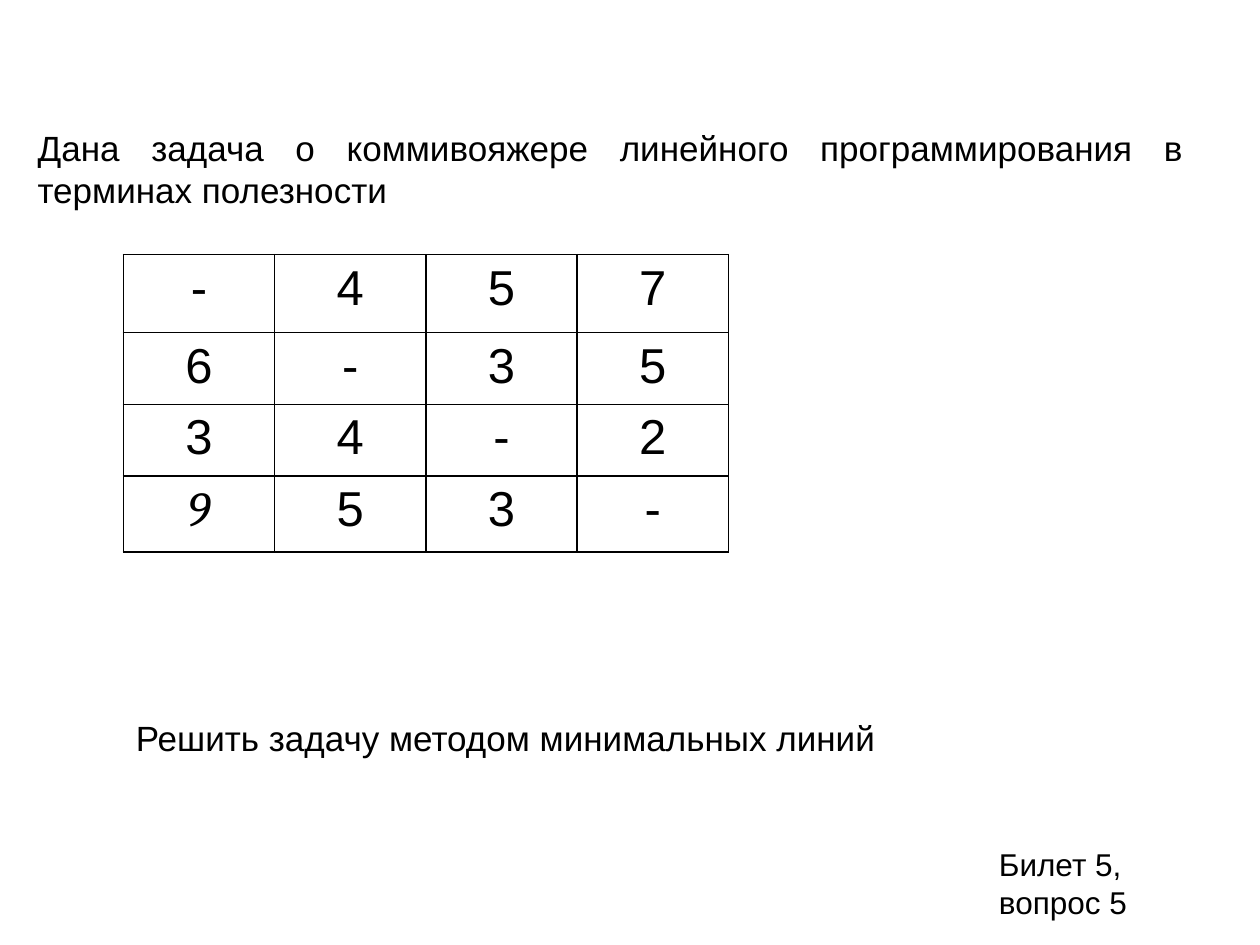
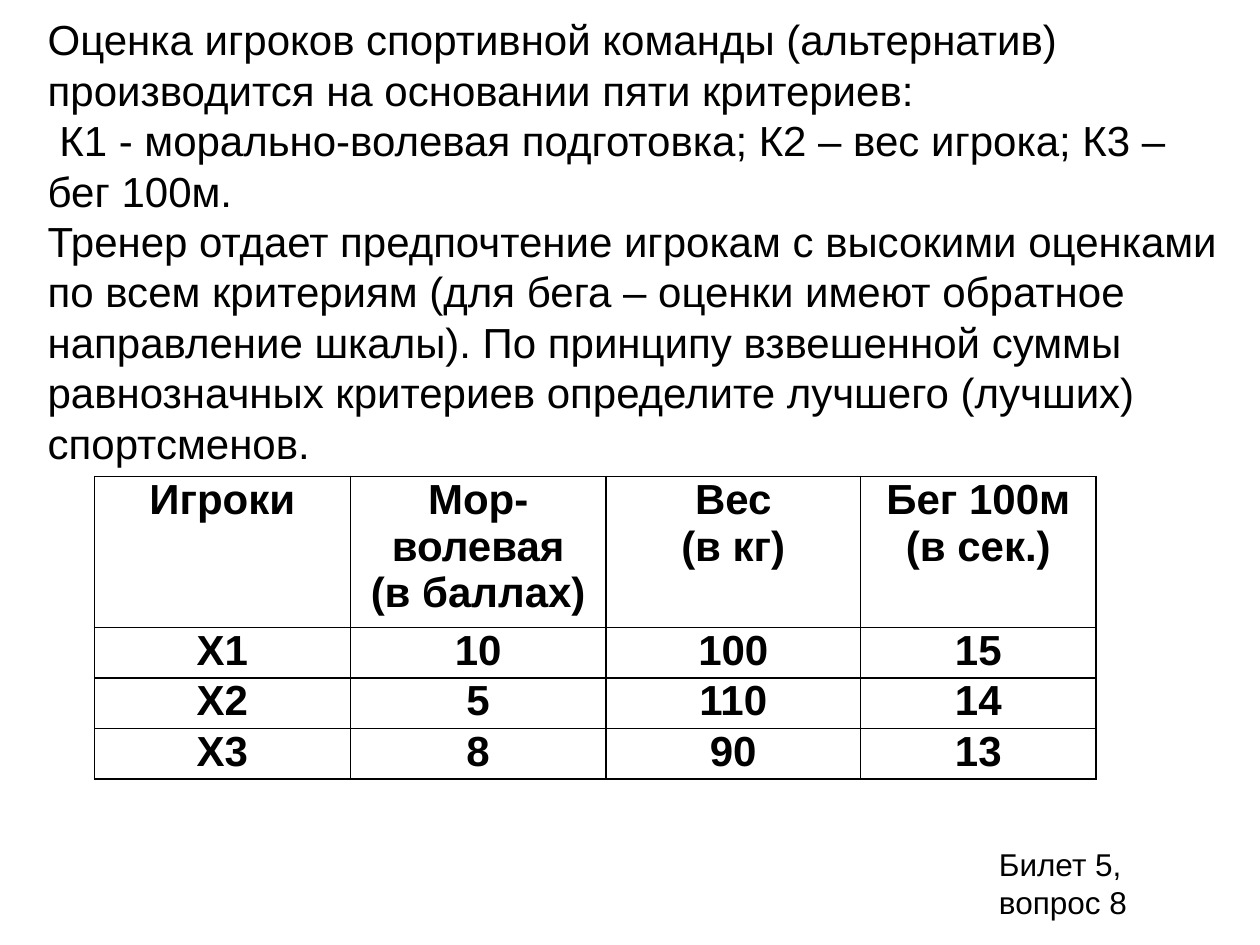
"""Build two exam task slides, each with text, a data table and a ticket label."""
from lxml import etree
from pptx import Presentation
from pptx import util as u
from pptx.dml.color import RGBColor
from pptx.enum import text
from pptx.oxml import ns

PX = 9144
INK = "000000"
FONT = "Arial"
LEFT, CENTER, JUSTIFY = text.PP_ALIGN.LEFT, text.PP_ALIGN.CENTER, text.PP_ALIGN.JUSTIFY
TOP, MIDDLE = text.MSO_ANCHOR.TOP, text.MSO_ANCHOR.MIDDLE


def style(frame, size, align, bold=False):
    """Format every paragraph of a text frame."""
    for para in frame.paragraphs:
        para.alignment = align
        para.font.name, para.font.size, para.font.bold = FONT, u.Pt(size), bold
        para.font.color.rgb = RGBColor.from_string(INK)


def border(cell):
    """Draw a thin line on all four sides of a table cell."""
    properties = cell._tc.get_or_add_tcPr()
    for side in ("lnL", "lnR", "lnT", "lnB"):
        line = etree.SubElement(properties, ns.qn(f"a:{side}"), w=str(u.Pt(1)))
        fill = etree.SubElement(line, ns.qn("a:solidFill"))
        etree.SubElement(fill, ns.qn("a:srgbClr"), val=INK)


deck = Presentation()
deck.slide_width, deck.slide_height = 1000 * PX, 750 * PX

tasks = [
    {
        "question": 5,
        "texts": [
            ("Решить задачу методом минимальных линий",
             (98, 564, 661, 44), 20, LEFT, TOP),
            ("Дана задача о коммивояжере линейного программирования в терминах полезности",
             (20, 95, 929, 77), 20, JUSTIFY, MIDDLE),
        ],
        "place": (98, 202),
        "columns": [120] * 4,
        "heights": [62, 57, 57, 60],
        "rows": ["- 4 5 7".split(), "6 - 3 5".split(), "3 4 - 2".split(), "9 5 3 -".split()],
        "size": 28,
        "bold": False,
        "margins": (10, 5),
    },
    {
        "question": 8,
        "texts": [
            ("Оценка игроков спортивной команды (альтернатив) производится на основании "
             "пяти критериев:\n"
             " К1 - морально-волевая подготовка; К2 – вес игрока; К3 – бег 100м.\n"
             "Тренер отдает предпочтение игрокам с высокими оценками по всем критериям "
             "(для бега – оценки имеют обратное направление шкалы). По принципу взвешенной "
             "суммы равнозначных критериев определите лучшего (лучших) спортсменов.",
             (28, 4, 961, 374), 24, LEFT, MIDDLE),
        ],
        "place": (75, 378),
        "columns": [203, 203, 202, 187],
        "heights": [77, 35, 35, 35],
        "rows": [
            ["Игроки", "Мор-волевая\n(в баллах)", "Вес\n(в кг)", "Бег 100м\n(в сек.)"],
            ["Х1", "10", "100", "15"],
            ["Х2", "5", "110", "14"],
            ["Х3", "8", "90", "13"],
        ],
        "size": 24,
        "bold": True,
        "margins": (7, 0),
    },
]

tables = []
for task in tasks:
    page = deck.slides.add_slide(deck.slide_layouts[6])

    ticket = (f"Билет 5, вопрос {task['question']}", (783, 666, 150, 71), 18, LEFT, TOP)
    for words, area, size, align, anchor in task["texts"] + [ticket]:
        box = page.shapes.add_textbox(*(length * PX for length in area))
        frame = box.text_frame
        frame.word_wrap = True
        frame.auto_size = text.MSO_AUTO_SIZE.SHAPE_TO_FIT_TEXT
        frame.vertical_anchor = anchor
        frame.text = words
        style(frame, size, align)

    columns, heights, rows = task["columns"], task["heights"], task["rows"]
    area = (*task["place"], sum(columns), sum(heights))
    table = page.shapes.add_table(
        len(rows), len(columns), *(length * PX for length in area)).table
    table.first_row = table.horz_banding = False
    tables.append(table)
    for column, width in zip(table.columns, columns):
        column.width = width * PX
    side, edge = (margin * PX for margin in task["margins"])
    for row, height, values in zip(table.rows, heights, rows):
        row.height = height * PX
        for cell, value in zip(row.cells, values):
            cell.text = value
            cell.margin_left = cell.margin_right = side
            cell.margin_top = cell.margin_bottom = edge
            style(cell.text_frame, task["size"], CENTER, task["bold"])
            border(cell)
            cell.fill.background()

cost_table, player_table = tables
nine = cost_table.cell(3, 0).text_frame.paragraphs[0]
nine.font.name, nine.font.italic = "Cambria", True
player_table.cell(0, 0).text_frame.paragraphs[0].space_before = u.Pt(6)

deck.save("out.pptx")
